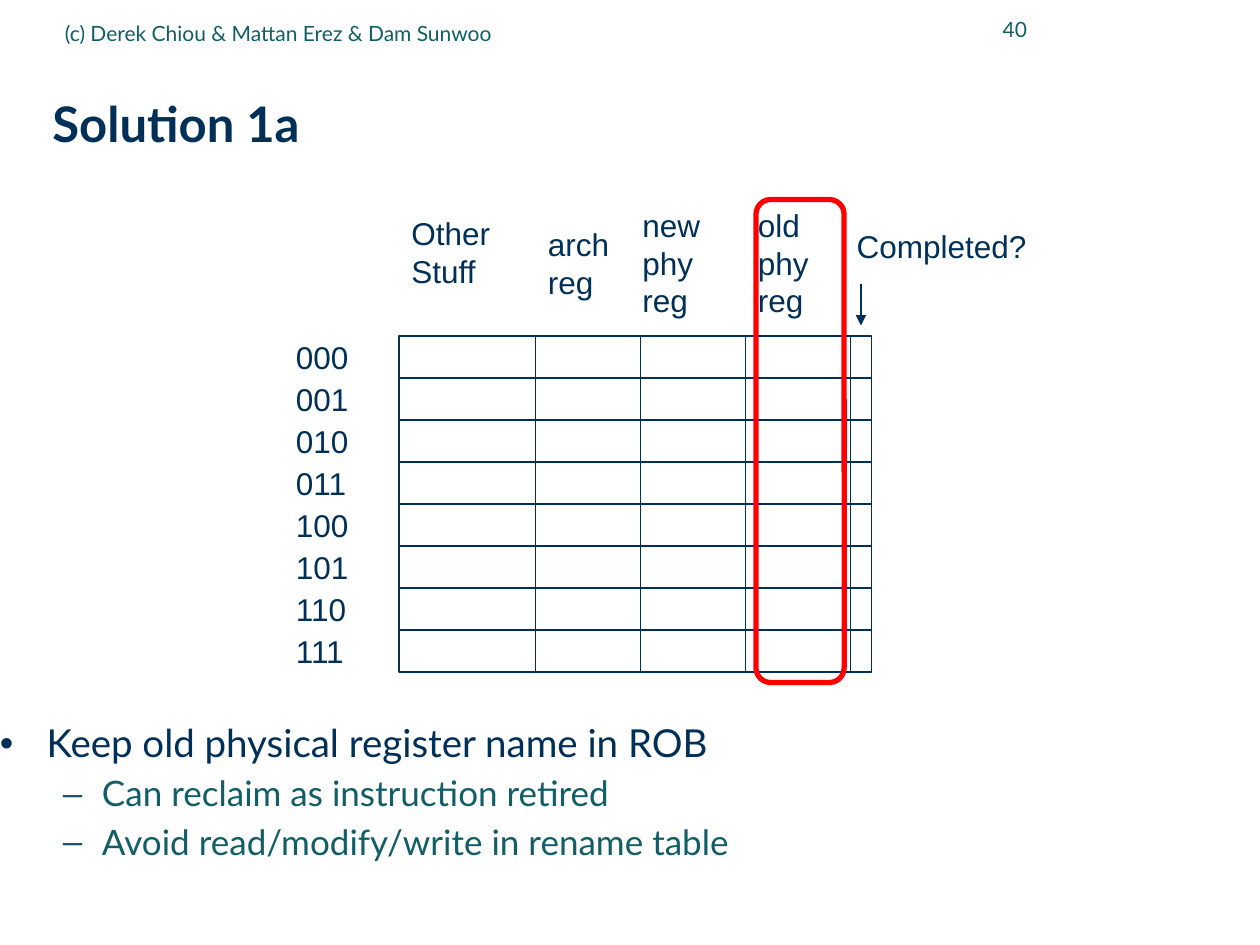
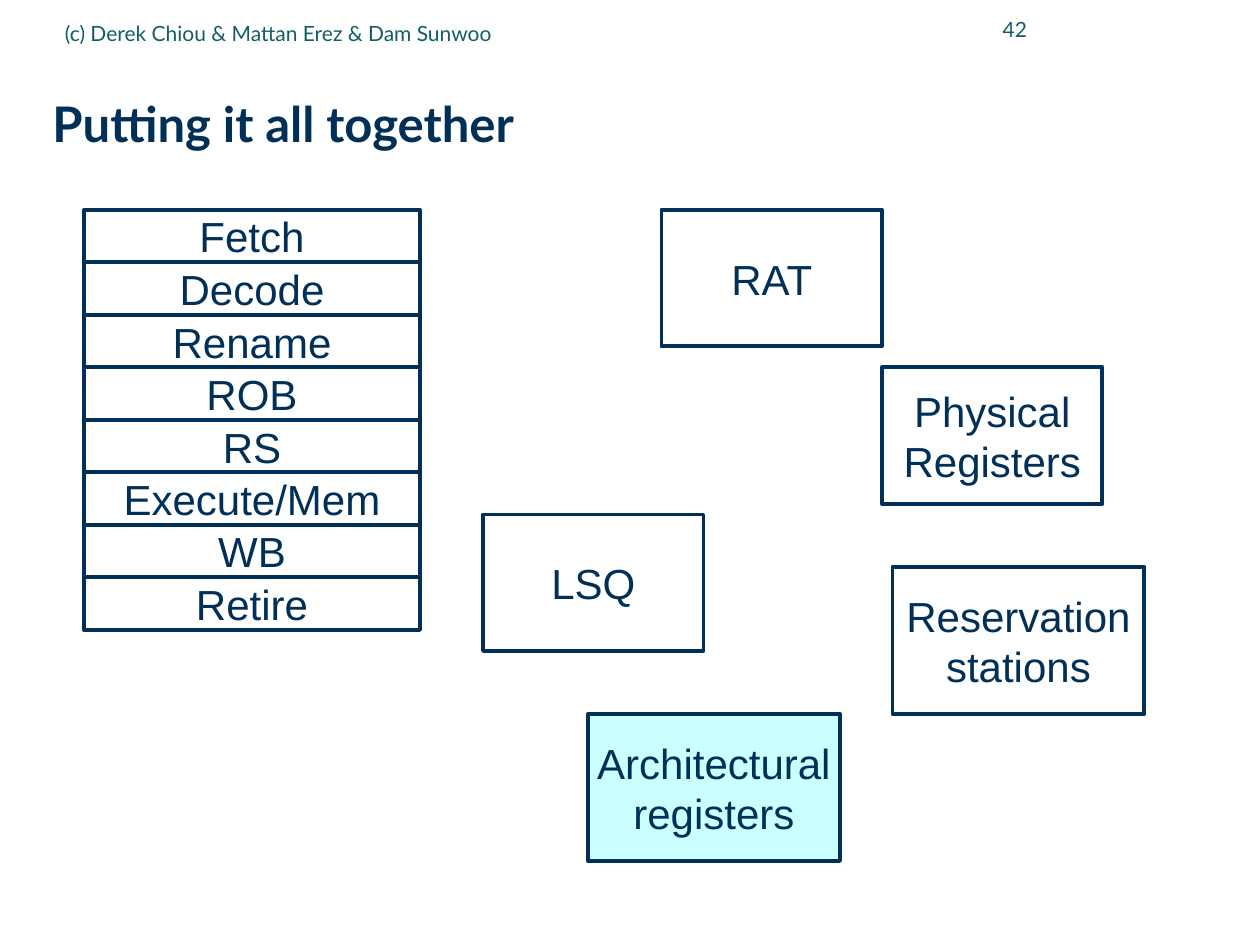
from typing import NamedTuple

from lxml.etree import SubElement
from pptx import Presentation
from pptx.dml.color import RGBColor
from pptx.enum.shapes import MSO_CONNECTOR as Connector, MSO_SHAPE as Preset
from pptx.enum.text import MSO_ANCHOR as Anchor, MSO_AUTO_SIZE as AutoSize, PP_ALIGN as Align
from pptx.oxml.ns import qn
from pptx.util import Inches, Pt

COLORS = {
    "navy": "003057",
    "teal": "115E67",
    "red": "FF0000",
    "white": "FFFFFF",
    "aqua": "CCFFFF",
}
COLUMNS, ROWS = 120, 90
SLIDE_WIDTH, SLIDE_HEIGHT = Inches(10), Inches(7.5)
TITLE_ONLY = 5
CREDIT = "(c) Derek Chiou & Mattan Erez & Dam Sunwoo"

FONTS = {
    "title": {"name": "Lato", "size": Pt(28), "bold": True},
    "header": {"name": "Lato", "size": Pt(12)},
    "point": {"name": "Lato", "size": Pt(22)},
    "subpoint": {"name": "Lato", "size": Pt(20)},
    "label": {"name": "Arial", "size": Pt(18)},
    "block": {"name": "Arial", "size": Pt(24)},
}
NO_MARGINS = dict.fromkeys(("margin_left", "margin_right", "margin_top", "margin_bottom"), 0)
LABEL_FRAME = {"word_wrap": False, "vertical_anchor": Anchor.MIDDLE}
HEADER_FRAME = {"word_wrap": True, "vertical_anchor": Anchor.MIDDLE}


class Box(NamedTuple):
    left: float
    top: float
    width: float
    height: float

    def inner(self, left, top, width, height):
        return Box(self.left + left, self.top + top, width, height)

    def emu(self):
        across, down = SLIDE_WIDTH / COLUMNS, SLIDE_HEIGHT / ROWS
        return [round(length * unit) for length, unit in zip(self, (across, down) * 2)]


WHOLE_SLIDE = Box(0, 0, COLUMNS, ROWS)


def rgb(color):
    return RGBColor.from_string(COLORS[color])


def apply(target, values):
    for name, value in values.items():
        setattr(target, name, value)


def style_text(frame, font, color, frame_values, paragraph_values):
    apply(frame, frame_values)
    for paragraph in frame.paragraphs:
        apply(paragraph, paragraph_values)
        apply(paragraph.font, FONTS[font])
        paragraph.font.color.rgb = rgb(color)


def add_text(slide, box, text, font="label", color="navy", frame=LABEL_FRAME, align=Align.LEFT):
    label = slide.shapes.add_textbox(*box.emu())
    label.text_frame.text = text
    style_text(label.text_frame, font, color, frame, {"alignment": align})


def add_outline(slide, box, color="navy", weight=0.75, fill=None, preset=Preset.RECTANGLE):
    outline = slide.shapes.add_shape(preset, *box.emu())
    outline.shadow.inherit = False
    if fill:
        outline.fill.solid()
        outline.fill.fore_color.rgb = rgb(fill)
    else:
        outline.fill.background()
    outline.line.color.rgb = rgb(color)
    outline.line.width = Pt(weight)
    return outline


def add_block(slide, box, text, fill=None):
    block = add_outline(slide, box, weight=2.25, fill=fill)
    block.text_frame.text = text
    style_text(block.text_frame, "block", "navy", LABEL_FRAME, {"alignment": Align.CENTER})


def add_arrow(slide, box):
    left, top, width, height = box.emu()
    arrow = slide.shapes.add_connector(Connector.STRAIGHT, left, top, left + width, top + height)
    arrow.line.color.rgb = rgb("navy")
    arrow.line.width = Pt(0.75)
    SubElement(arrow.line._get_or_add_ln(), qn("a:tailEnd"), type="triangle")
    SubElement(arrow._element.spPr, qn("a:effectLst"))


def add_titled_slide(deck, box, title, number):
    slide = deck.slides.add_slide(deck.slide_layouts[TITLE_ONLY])
    heading = slide.shapes.title
    place = dict(zip(("left", "top", "width", "height"), box.inner(5, 6, 113, 11.75).emu()))
    apply(heading, place)
    heading.text_frame.text = title
    style_text(
        heading.text_frame, "title", "navy",
        {**HEADER_FRAME, **NO_MARGINS, "auto_size": AutoSize.NONE},
        {"alignment": Align.LEFT, "line_spacing": 0.99},
    )
    add_text(slide, box.inner(88, 0, 11, 5.5), number, "header", "teal", HEADER_FRAME, Align.RIGHT)
    add_text(slide, box.inner(5, 0.4, 68, 5.5), CREDIT, "header", "teal", HEADER_FRAME)
    return slide


def add_bullets(slide, box, points):
    levels = [
        ("point", "navy", "•", 0.37, -0.37, 0),
        ("subpoint", "teal", "–", 0.81, -0.31, 6),
    ]
    frame = slide.shapes.add_textbox(*box.emu()).text_frame
    apply(frame, {"word_wrap": True, **NO_MARGINS})
    frame.text = "\n".join(text for _, text in points)
    for paragraph, (level, _) in zip(frame.paragraphs, points):
        font, color, mark, margin, indent, before = levels[level]
        properties = paragraph._p.get_or_add_pPr()
        properties.set("marL", str(Inches(margin)))
        properties.set("indent", str(Inches(indent)))
        bullet_color = SubElement(properties, qn("a:buClr"))
        SubElement(bullet_color, qn("a:srgbClr"), val=COLORS[color])
        SubElement(properties, qn("a:buFont"), typeface="Arial")
        SubElement(properties, qn("a:buChar"), char=mark)
        apply(paragraph, {"level": level, "line_spacing": 0.9, "space_before": Pt(before)})
        apply(paragraph.font, FONTS[font])
        paragraph.font.color.rgb = rgb(color)


def add_reorder_buffer(slide, box):
    entries, row_height, first_row = 8, 4, 13
    field_widths = [13, 10, 10, 10, 2]
    field_lefts = [11 + sum(field_widths[:i]) for i in range(len(field_widths))]
    for entry in range(entries):
        top = first_row + entry * row_height
        add_text(slide, box.inner(0, top, 10, row_height), f"{entry:03b}")
        for left, width in zip(field_lefts, field_widths):
            add_outline(slide, box.inner(left, top, width, row_height))

    headings = [
        ("Other\nStuff", 11, 3),
        ("arch\nreg", 21 + 3, 4),
        ("new\nphy\nreg", 33, 4),
        ("old\nphy\nreg", 44, 4),
    ]
    for text, left, top in headings:
        add_text(slide, box.inner(left, top, 10, row_height), text)
    add_text(slide, box.inner(53.4, 2, 18.6, 4.8), "Completed?")
    add_arrow(slide, box.inner(55, 8, 0, 4))
    add_outline(slide, box.inner(45, 0, 8.4, 46), "red", 3, preset=Preset.ROUNDED_RECTANGLE)


def add_pipeline(slide, box, stages):
    height = box.height / len(stages)
    for i, stage in enumerate(stages):
        add_block(slide, box.inner(0, i * height, box.width, height), stage, "white")


def add_structures(slide, box):
    small, large = (21, 13), (24, 14)
    structures = [
        ("RAT", 17, 0, small, None),
        ("Physical\vRegisters", 38, 15, small, None),
        ("LSQ", 0, 29, small, None),
        ("Reservation\vstations", 39, 34, large, None),
        ("Architectural\nregisters", 10, 48, large, "aqua"),
    ]
    for text, left, top, size, fill in structures:
        add_block(slide, box.inner(left, top, *size), text, fill)


def build_solution(deck):
    slide = add_titled_slide(deck, WHOLE_SLIDE, "Solution 1a", "40")
    add_bullets(slide, WHOLE_SLIDE.inner(0, 69, 114, 15.4), [
        (0, "Keep old physical register name in ROB"),
        (1, "Can reclaim as instruction retired"),
        (1, "Avoid read/modify/write in rename table"),
    ])
    add_reorder_buffer(slide, WHOLE_SLIDE.inner(27, 19, 72, 46))


def build_overview(deck):
    slide = add_titled_slide(deck, WHOLE_SLIDE, "Putting it all together", "42")
    stages = ["Fetch", "Decode", "Rename", "ROB", "RS", "Execute/Mem", "WB", "Retire"]
    add_pipeline(slide, WHOLE_SLIDE.inner(8, 20, 32, 40), stages)
    add_structures(slide, WHOLE_SLIDE.inner(46, 20, 63, 62))


def main():
    deck = Presentation()
    apply(deck, {"slide_width": SLIDE_WIDTH, "slide_height": SLIDE_HEIGHT})
    build_solution(deck)
    build_overview(deck)
    deck.save("out.pptx")


if __name__ == "__main__":
    main()
